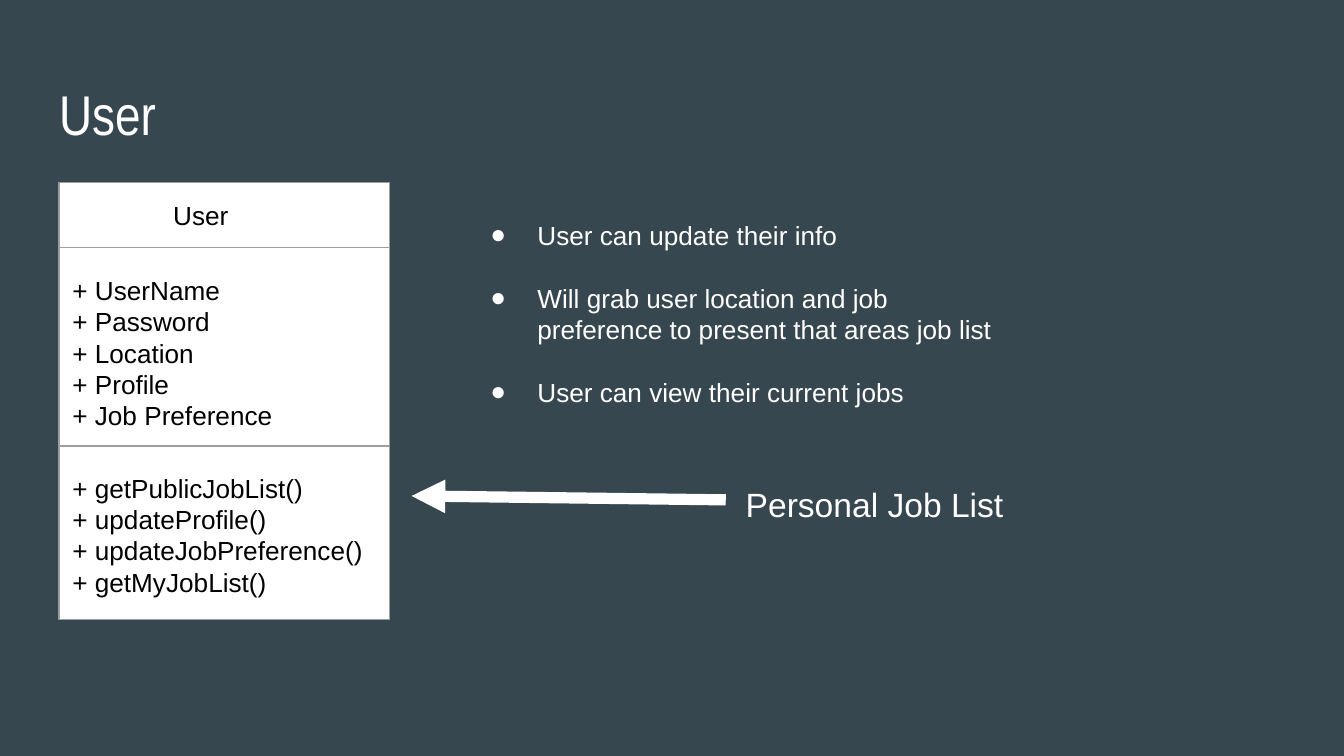
"""Build the User class slide with its notes and a labelled arrow."""
from dataclasses import dataclass

from lxml import etree
from pptx import Presentation, util as u
from pptx.dml.color import RGBColor
from pptx.enum import shapes, text
from pptx.oxml.ns import qn

SLATE, WHITE, BLACK, GREY = "37474F", "FFFFFF", "000000", "9E9E9E"
CLASS_LEFT, CLASS_TOP, CLASS_WIDTH, CLASS_HEIGHT = 31.7, 97.9, 177.1, 234
CLASS_RIGHT = CLASS_LEFT + CLASS_WIDTH


@dataclass
class Block:
    left: float
    top: float
    width: float
    height: float
    lines: list[str]
    size: float = 14
    color: str = WHITE
    font: str = "Arial"
    centered: bool = False
    bulleted: bool = False
    gap: float = 0
    gap_before: tuple[int, ...] = ()


@dataclass
class Stroke:
    start: tuple[float, float]
    end: tuple[float, float]
    color: str = GREY
    weight: float = 0.75
    arrow: bool = False


def rgb(color: str) -> RGBColor:
    return RGBColor.from_string(color)


def add_bullet(paragraph) -> None:
    properties = paragraph._p.get_or_add_pPr()
    properties.set("marL", str(u.Pt(36)))
    properties.set("indent", str(u.Pt(-25.2)))
    bullet_color = etree.SubElement(properties, qn("a:buClr"))
    etree.SubElement(bullet_color, qn("a:srgbClr"), val=WHITE)
    etree.SubElement(properties, qn("a:buFont"), typeface="Arial")
    etree.SubElement(properties, qn("a:buChar"), char="●")


def fill_block(holder, block: Block) -> None:
    holder.left, holder.top = u.Pt(block.left), u.Pt(block.top)
    holder.width, holder.height = u.Pt(block.width), u.Pt(block.height)
    frame = holder.text_frame
    frame.word_wrap = True
    frame.auto_size = text.MSO_AUTO_SIZE.NONE
    frame.vertical_anchor = text.MSO_ANCHOR.TOP
    frame.margin_left = frame.margin_right = u.Pt(7.2)
    frame.margin_top = frame.margin_bottom = u.Pt(7.2)
    for index, line in enumerate(block.lines):
        paragraph = frame.add_paragraph() if index else frame.paragraphs[0]
        paragraph.alignment = text.PP_ALIGN.CENTER if block.centered else text.PP_ALIGN.LEFT
        paragraph.space_before = u.Pt(block.gap if index in block.gap_before else 0)
        if block.bulleted:
            add_bullet(paragraph)
        run = paragraph.add_run()
        run.text = line
        run.font.name = block.font
        run.font.size = u.Pt(block.size)
        run.font.color.rgb = rgb(block.color)


def add_class_box(slide) -> None:
    class_box = slide.shapes.add_shape(
        shapes.MSO_SHAPE.RECTANGLE,
        u.Pt(CLASS_LEFT), u.Pt(CLASS_TOP), u.Pt(CLASS_WIDTH), u.Pt(CLASS_HEIGHT))
    class_box.shadow.inherit = False
    class_box.fill.solid()
    class_box.fill.fore_color.rgb = rgb(WHITE)
    class_box.line.color.rgb = rgb(GREY)
    class_box.line.width = u.Pt(0.75)


def add_stroke(slide, stroke: Stroke) -> None:
    connector = slide.shapes.add_connector(
        shapes.MSO_CONNECTOR.STRAIGHT,
        *(u.Pt(value) for value in stroke.start + stroke.end))
    connector.line.color.rgb = rgb(stroke.color)
    connector.line.width = u.Pt(stroke.weight)
    if stroke.arrow:
        etree.SubElement(connector.line._get_or_add_ln(), qn("a:tailEnd"), type="triangle")
    etree.SubElement(connector._element.spPr, qn("a:effectLst"))


TITLE = Block(24.5, 35.3, 671, 45.4, ["User"], size=30, font="Arial Narrow")
BLOCKS = [
    Block(54.7, 99.4, 105.8, 33.1, ["User"], color=BLACK, centered=True),
    Block(CLASS_LEFT, 139.7, CLASS_WIDTH, 198.7,
          ["+ UserName", "+ Password", "+ Location", "+ Profile", "+ Job Preference",
           "+ getPublicJobList()", "+ updateProfile()", "+ updateJobPreference()",
           "+ getMyJobList()"],
          color=BLACK, gap=22, gap_before=(5,)),
    Block(244.8, 110.2, 298.8, 128.2,
          ["User can update their info",
           "Will grab user location and job preference to present that areas job list",
           "User can view their current jobs"],
          bulleted=True, gap=16.8, gap_before=(1, 2)),
    Block(392.4, 252, 172.1, 30.2, ["Personal Job List"], size=18),
]
STROKES = [Stroke((CLASS_LEFT, y), (CLASS_RIGHT, y)) for y in (132.5, 239)]
STROKES.append(Stroke((388.8, 267.8), (220.5, 265.7), WHITE, 6, arrow=True))


def main() -> None:
    deck = Presentation()
    deck.slide_width, deck.slide_height = u.Pt(720), u.Pt(405)
    slide = deck.slides.add_slide(deck.slide_layouts.get_by_name("Title Only"))
    slide.background.fill.solid()
    slide.background.fill.fore_color.rgb = rgb(SLATE)
    fill_block(slide.shapes.title, TITLE)
    add_class_box(slide)
    for block in BLOCKS:
        fill_block(slide.shapes.add_textbox(0, 0, 0, 0), block)
    for stroke in STROKES:
        add_stroke(slide, stroke)
    deck.save("out.pptx")


if __name__ == "__main__":
    main()
